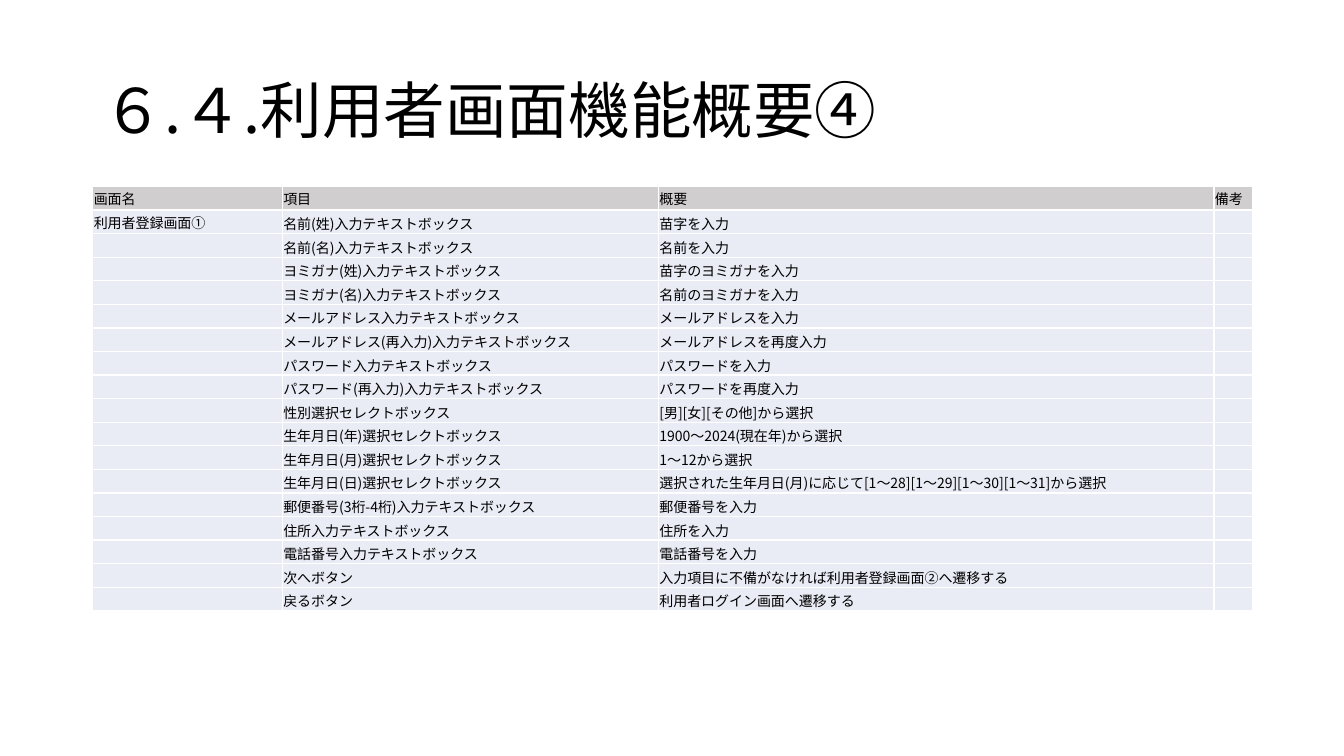
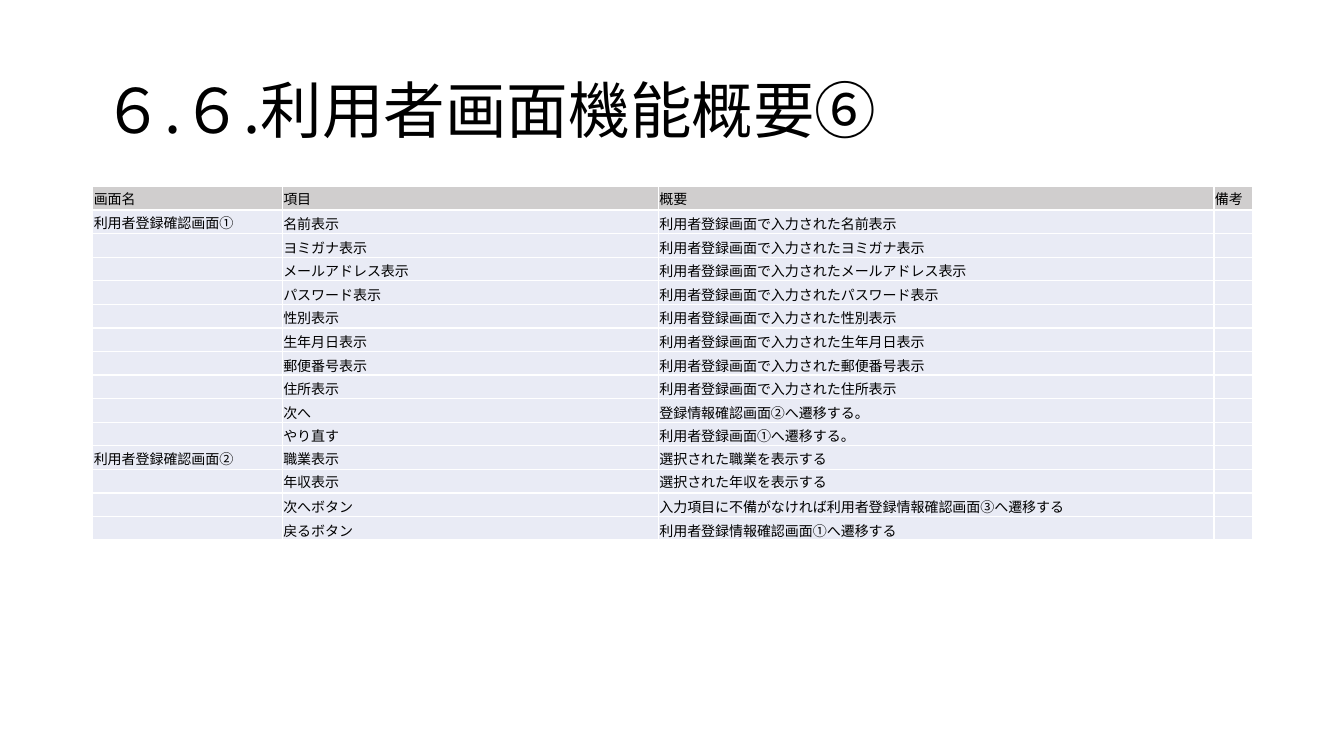
from lxml import etree
from pptx import Presentation
from pptx.dml.color import RGBColor
from pptx.enum import text
from pptx.oxml import ns
from pptx.util import Inches, Pt

FONT = "Noto Sans CJK JP"
BLACK = RGBColor(0x00, 0x00, 0x00)
WHITE = RGBColor(0xFF, 0xFF, 0xFF)
HEADER_GRAY = RGBColor(0xD0, 0xCE, 0xCE)
BODY_BLUE = RGBColor(0xE9, 0xEB, 0xF5)

LEFT, CONTENT_WIDTH = Inches(0.92), Inches(11.5)
TITLE_TOP, TITLE_HEIGHT = Inches(0.4), Inches(1.45)
TABLE_TOP = Inches(1.85)
COLUMN_WIDTHS = [1.88, 3.73, 5.51, 0.38]
TITLE_SIZE, CELL_SIZE = Pt(44), Pt(10)
HEADERS = ["画面名", "項目", "概要", "備考"]

INPUT_ROWS = [
    ("名前(姓)入力テキストボックス", "苗字を入力"),
    ("名前(名)入力テキストボックス", "名前を入力"),
    ("ヨミガナ(姓)入力テキストボックス", "苗字のヨミガナを入力"),
    ("ヨミガナ(名)入力テキストボックス", "名前のヨミガナを入力"),
    ("メールアドレス入力テキストボックス", "メールアドレスを入力"),
    ("メールアドレス(再入力)入力テキストボックス", "メールアドレスを再度入力"),
    ("パスワード入力テキストボックス", "パスワードを入力"),
    ("パスワード(再入力)入力テキストボックス", "パスワードを再度入力"),
    ("性別選択セレクトボックス", "[男][女][その他]から選択"),
    ("生年月日(年)選択セレクトボックス", "1900～2024(現在年)から選択"),
    ("生年月日(月)選択セレクトボックス", "1～12から選択"),
    ("生年月日(日)選択セレクトボックス",
     "選択された生年月日(月)に応じて[1～28][1～29][1～30][1～31]から選択"),
    ("郵便番号(3桁-4桁)入力テキストボックス", "郵便番号を入力"),
    ("住所入力テキストボックス", "住所を入力"),
    ("電話番号入力テキストボックス", "電話番号を入力"),
    ("次へボタン", "入力項目に不備がなければ利用者登録画面②へ遷移する"),
    ("戻るボタン", "利用者ログイン画面へ遷移する"),
]
DISPLAYED_FIELDS = ["名前", "ヨミガナ", "メールアドレス", "パスワード",
                    "性別", "生年月日", "郵便番号", "住所"]
CONFIRM_ROWS_1 = [
    (f"{field}表示", f"利用者登録画面で入力された{field}表示")
    for field in DISPLAYED_FIELDS
] + [
    ("次へ", "登録情報確認画面②へ遷移する。"),
    ("やり直す", "利用者登録画面①へ遷移する。"),
]
CONFIRM_ROWS_2 = [
    ("職業表示", "選択された職業を表示する"),
    ("年収表示", "選択された年収を表示する"),
    ("次へボタン", "入力項目に不備がなければ利用者登録情報確認画面③へ遷移する"),
    ("戻るボタン", "利用者登録情報確認画面①へ遷移する"),
]
MIDDLE_ITEMS = {"職業表示", "年収表示"}

# Title, table height in inches, and the rows of each screen
SLIDES = [
    ("６.４.利用者画面機能概要④", 4.21, {"利用者登録画面①": INPUT_ROWS}),
    ("６.６.利用者画面機能概要⑥", 3.51, {"利用者登録確認画面①": CONFIRM_ROWS_1,
                                "利用者登録確認画面②": CONFIRM_ROWS_2}),
]


def format_runs(paragraph, size):
    for run in paragraph.runs:
        run.font.size = size
        run.font.color.rgb = BLACK
        run.font.name = FONT
        east_asian = etree.SubElement(run.font._element, ns.qn("a:ea"))
        east_asian.set("typeface", FONT)


def add_title(slide, title_text):
    title = slide.shapes.title
    title.left, title.top = LEFT, TITLE_TOP
    title.width, title.height = CONTENT_WIDTH, TITLE_HEIGHT
    title.text_frame.text = title_text
    title.text_frame.vertical_anchor = text.MSO_ANCHOR.MIDDLE
    paragraph = title.text_frame.paragraphs[0]
    paragraph.alignment = text.PP_ALIGN.LEFT
    paragraph.line_spacing = 0.9
    format_runs(paragraph, TITLE_SIZE)


def set_borders(cell):
    """Draw white 1 pt lines; they must precede the fill in the cell's XML."""
    properties = cell._tc.get_or_add_tcPr()
    for index, side in enumerate(["lnL", "lnR", "lnT", "lnB"]):
        line = etree.Element(ns.qn(f"a:{side}"), w=str(Pt(1)))
        fill = etree.SubElement(line, ns.qn("a:solidFill"))
        etree.SubElement(fill, ns.qn("a:srgbClr"), val=str(WHITE))
        properties.insert(index, line)


def fill_cell(cell, cell_text, color, anchor):
    cell.margin_left = cell.margin_top = cell.margin_right = Inches(0.01)
    cell.margin_bottom = 0
    cell.vertical_anchor = anchor
    cell.fill.solid()
    cell.fill.fore_color.rgb = color
    set_borders(cell)
    paragraph = cell.text_frame.paragraphs[0]
    paragraph.text = cell_text
    format_runs(paragraph, CELL_SIZE)
    # The end mark keeps rows with empty cells from growing
    etree.SubElement(paragraph._p, ns.qn("a:endParaRPr"),
                     sz=str(int(CELL_SIZE.pt * 100)))


def table_rows(screens):
    """List the rows of all screens, naming each screen in its first row only."""
    return [
        ["" if index else screen, item, summary, ""]
        for screen, rows in screens.items()
        for index, (item, summary) in enumerate(rows)
    ]


def add_function_table(slide, height, screens):
    rows = [HEADERS] + table_rows(screens)
    table = slide.shapes.add_table(len(rows), len(HEADERS), LEFT, TABLE_TOP,
                                   CONTENT_WIDTH, Inches(height)).table
    table.first_row = table.horz_banding = False
    for column, width in zip(table.columns, COLUMN_WIDTHS):
        column.width = Inches(width)
    for row_index, row in enumerate(rows):
        color = BODY_BLUE if row_index else HEADER_GRAY
        middle_row = row_index == 0 or row[1] in MIDDLE_ITEMS
        for column_index, cell_text in enumerate(row):
            middle = middle_row or column_index == 0
            anchor = text.MSO_ANCHOR.MIDDLE if middle else text.MSO_ANCHOR.BOTTOM
            fill_cell(table.cell(row_index, column_index), cell_text, color, anchor)


def main():
    presentation = Presentation()
    presentation.slide_width = Inches(13.33)
    presentation.slide_height = Inches(7.5)
    title_only = presentation.slide_layouts.get_by_name("Title Only")
    for title_text, height, screens in SLIDES:
        slide = presentation.slides.add_slide(title_only)
        add_title(slide, title_text)
        add_function_table(slide, height, screens)
    presentation.save("out.pptx")


if __name__ == "__main__":
    main()
